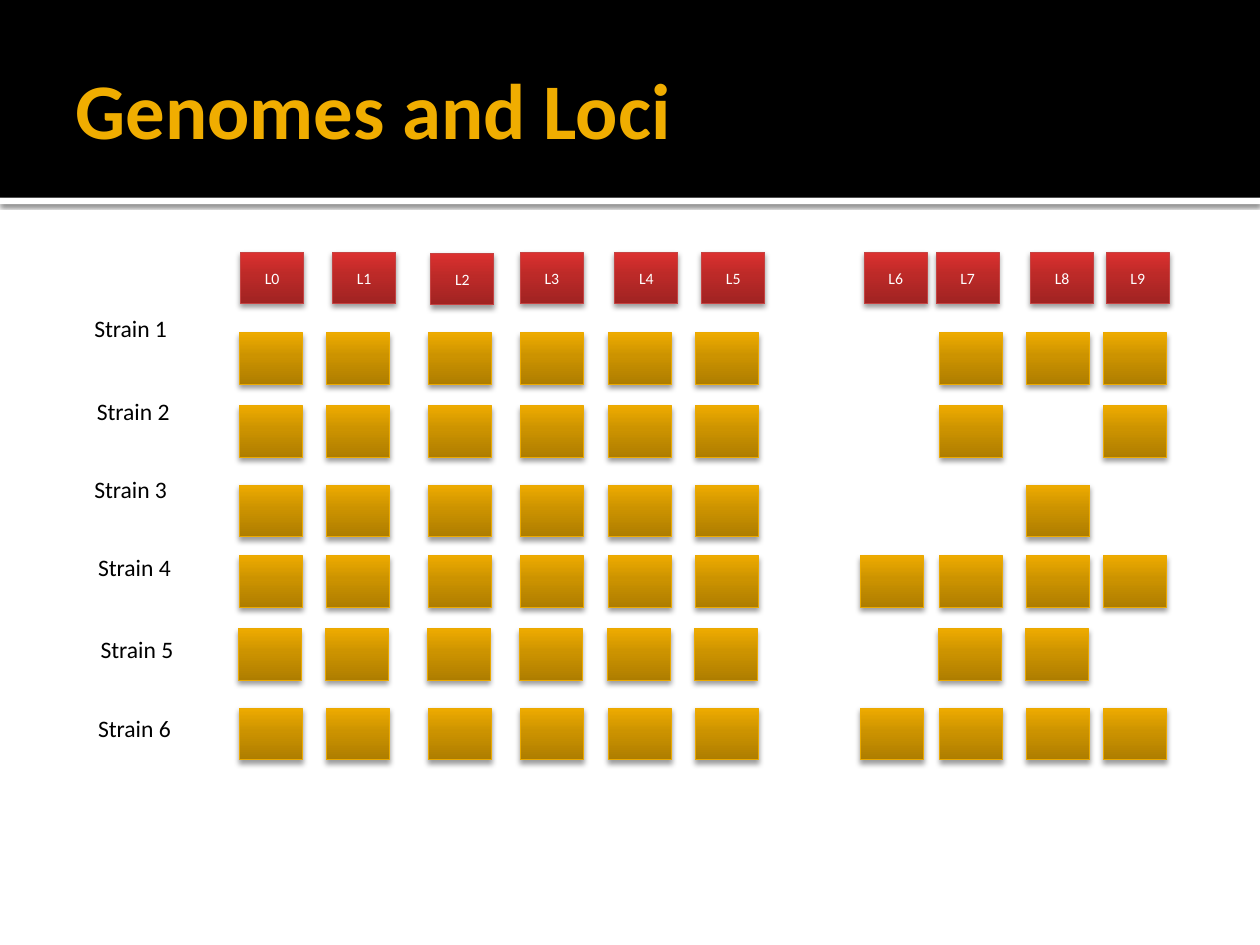
from copy import deepcopy

from lxml import etree
from pptx import Presentation
from pptx.dml.color import RGBColor
from pptx.enum.shapes import MSO_SHAPE
from pptx.enum.text import MSO_ANCHOR, PP_ALIGN
from pptx.oxml.ns import qn
from pptx.util import Inches, Pt

RECTANGLE = MSO_SHAPE.RECTANGLE
MIDDLE = MSO_ANCHOR.MIDDLE
LEFT, CENTER = PP_ALIGN.LEFT, PP_ALIGN.CENTER
FONT = "Calibri"

GOLD = (("AE7D00", "CC9300", "EEAB00"), "EBA900")
RED = (("A02322", "BC2A28", "DC302F"), "C54342")
STOP_POSITIONS = (0, 0.55, 1)

BOX_W, BOX_H = 0.5, 0.41
LOCUS_TOP = 2
LOCUS_LEFTS = (1.91, 2.64, 3.42, 4.13, 4.88, 5.57, 6.86, 7.43, 8.18, 8.78)
GENE_LEFTS = (1.9, 2.59, 3.4, 4.13, 4.83, 5.52, 6.83, 7.46, 8.15, 8.76)
CORE_LOCI = (0, 1, 2, 3, 4, 5)

# strain, label left, label top, genes top, row shift, accessory loci
STRAINS = (
    ("Strain 1", 0.65, 2.44, 2.64, 0, (7, 8, 9)),
    ("Strain 2", 0.67, 3.1, 3.22, 0, (7, 9)),
    ("Strain 3", 0.65, 3.72, 3.85, 0, (8,)),
    ("Strain 4", 0.68, 4.34, 4.41, 0, (6, 7, 8, 9)),
    ("Strain 5", 0.7, 4.99, 4.99, -0.01, (7, 8)),
    ("Strain 6", 0.68, 5.62, 5.62, 0, (6, 7, 8, 9)),
)


def color(hex_string):
    return RGBColor.from_string(hex_string)


def set_font(paragraph, size, hex_string, bold=False):
    paragraph.font.name = FONT
    paragraph.font.size = Pt(size)
    paragraph.font.bold = bold
    paragraph.font.color.rgb = color(hex_string)


def add_shadow(shape, opacity, blur, distance):
    effects = shape._element.spPr.find(qn("a:effectLst"))
    shadow = etree.SubElement(
        effects, qn("a:outerShdw"), blurRad=str(Pt(blur)),
        dist=str(Pt(distance)), dir="5400000", rotWithShape="0")
    black = etree.SubElement(shadow, qn("a:srgbClr"), val="000000")
    etree.SubElement(black, qn("a:alpha"), val=str(opacity * 1000))


def add_rectangle(slide, left, top, width, height):
    rectangle = slide.shapes.add_shape(
        RECTANGLE, Inches(left), Inches(top), Inches(width), Inches(height))
    rectangle.shadow.inherit = False
    return rectangle


def add_band(slide, top, height, hex_string):
    band = add_rectangle(slide, 0, top, 10, height)
    band.fill.solid()
    band.fill.fore_color.rgb = color(hex_string)
    band.line.fill.background()
    return band


def add_header(slide, height):
    stripe = add_band(slide, height, 0.05, "FFFFFF")
    add_shadow(stripe, 60, 2.5, 0.8)
    add_band(slide, 0, height, "000000")

    title = slide.shapes.title
    slide.shapes._spTree.append(title._element)
    title.left, title.top = Inches(0.5), Inches(0.17)
    title.width, title.height = Inches(9), Inches(1.37)
    frame = title.text_frame
    frame.text = "Genomes and Loci"
    frame.word_wrap = True
    frame.vertical_anchor = MIDDLE
    frame.margin_left = Inches(0.1)
    frame.margin_right = frame.margin_top = frame.margin_bottom = Inches(0.05)
    frame.paragraphs[0].alignment = LEFT
    set_font(frame.paragraphs[0], 45, "F0AD00", bold=True)


def add_box(slide, left, top, palette):
    stop_colors, outline = palette
    box = add_rectangle(slide, left, top, BOX_W, BOX_H)
    box.fill.gradient()
    box.fill.gradient_angle = 90
    stop_list = box._element.spPr.find(".//" + qn("a:gsLst"))
    stop_list.append(deepcopy(stop_list[0]))
    for stop, position, stop_color in zip(
            box.fill.gradient_stops, STOP_POSITIONS, stop_colors):
        stop.position = position
        stop.color.rgb = color(stop_color)
    box.line.color.rgb = color(outline)
    box.line.width = Pt(0.5)
    add_shadow(box, 38, 3.1, 2)
    return box


def add_loci(slide, top):
    for number, left in enumerate(LOCUS_LEFTS):
        locus = add_box(slide, left, top + (0.01 if number == 2 else 0), RED)
        frame = locus.text_frame
        frame.text = f"L{number}"
        frame.vertical_anchor = MIDDLE
        frame.paragraphs[0].alignment = CENTER
        set_font(frame.paragraphs[0], 9, "FFFFFF")


def add_strain(slide, name, label_left, label_top, genes_top, shift, accessory):
    label = slide.shapes.add_textbox(
        Inches(label_left), Inches(label_top), Inches(1.2), Inches(0.52))
    label.text_frame.word_wrap = True
    label.text_frame.text = name
    set_font(label.text_frame.paragraphs[0], 13.5, "000000")
    for locus in CORE_LOCI + accessory:
        add_box(slide, GENE_LEFTS[locus] + shift, genes_top, GOLD)


def main():
    deck = Presentation()
    deck.slide_width, deck.slide_height = Inches(10), Inches(7.5)
    slide = deck.slides.add_slide(deck.slide_layouts[5])
    add_header(slide, 1.57)
    for strain in STRAINS:
        add_strain(slide, *strain)
    add_loci(slide, LOCUS_TOP)
    deck.save("out.pptx")


if __name__ == "__main__":
    main()
